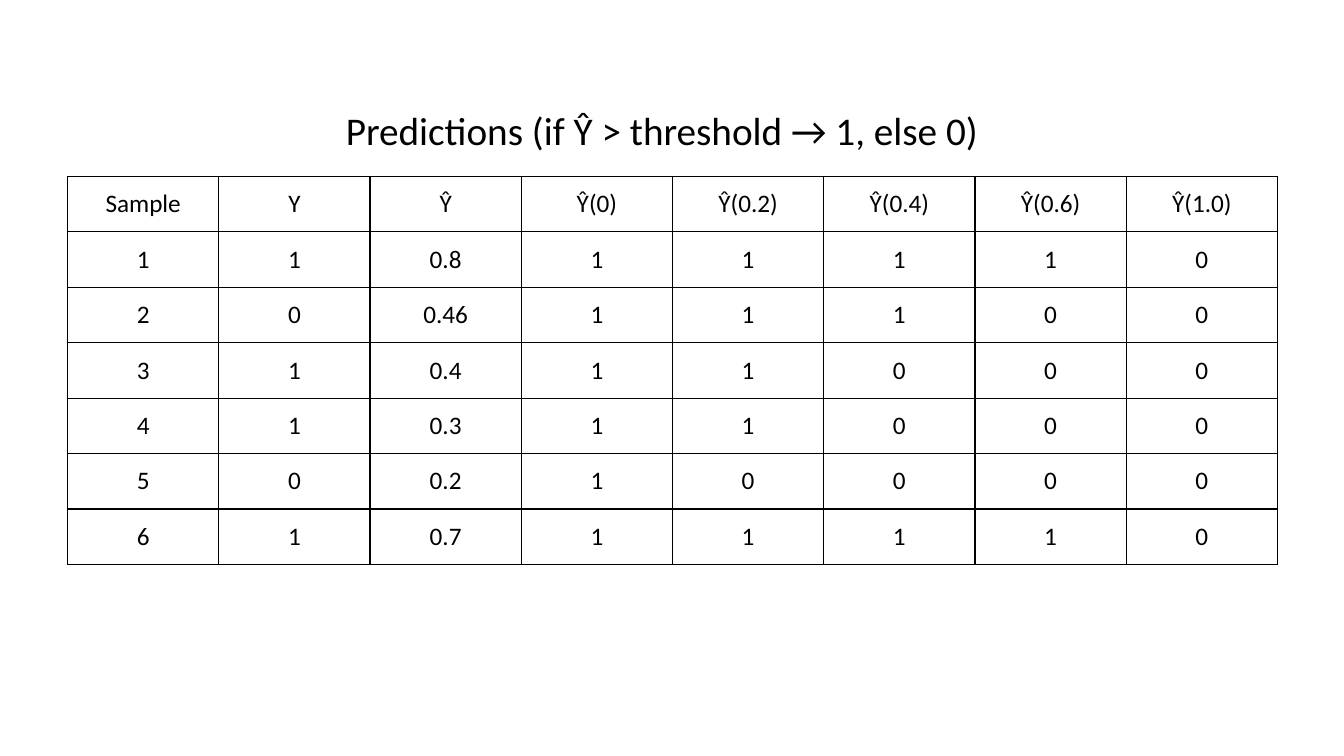
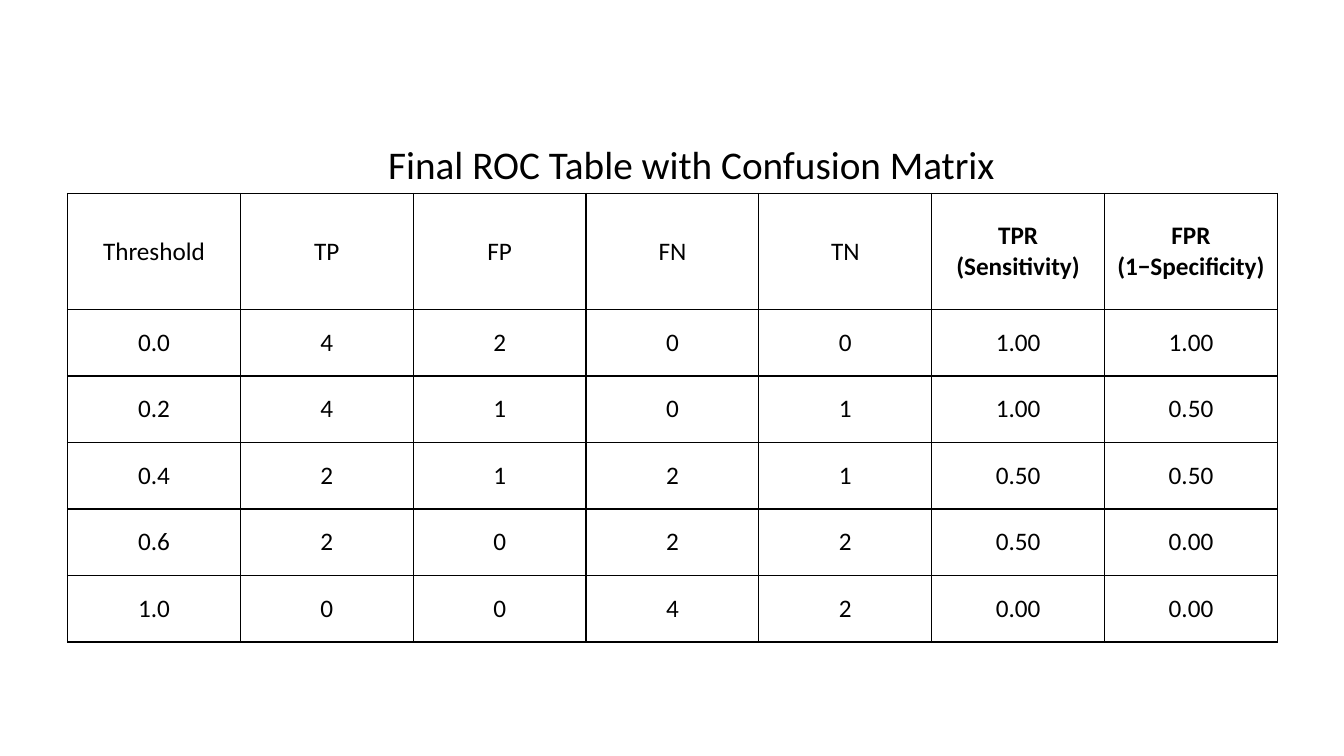
from lxml import etree
from pptx import Presentation
from pptx.dml.color import RGBColor
from pptx.enum.text import MSO_ANCHOR, MSO_AUTO_SIZE, PP_ALIGN
from pptx.oxml.ns import qn
from pptx.util import Inches, Pt

BLACK = RGBColor(0x00, 0x00, 0x00)
WHITE = RGBColor(0xFF, 0xFF, 0xFF)
FONT = "Calibri"
LEFT, CENTER = PP_ALIGN.LEFT, PP_ALIGN.CENTER
TOP, MIDDLE = MSO_ANCHOR.TOP, MSO_ANCHOR.MIDDLE
NO_AUTOFIT = MSO_AUTO_SIZE.NONE

TITLE_ONLY = 5
TABLE_LEFT, TABLE_WIDTH = 0.67, 12
BORDER_SIDES = ("a:lnL", "a:lnR", "a:lnT", "a:lnB")

PREDICTIONS = [
    ["Sample", "Y", "Ŷ", "Ŷ(0)", "Ŷ(0.2)", "Ŷ(0.4)", "Ŷ(0.6)", "Ŷ(1.0)"],
    ["1", "1", "0.8", "1", "1", "1", "1", "0"],
    ["2", "0", "0.46", "1", "1", "1", "0", "0"],
    ["3", "1", "0.4", "1", "1", "0", "0", "0"],
    ["4", "1", "0.3", "1", "1", "0", "0", "0"],
    ["5", "0", "0.2", "1", "0", "0", "0", "0"],
    ["6", "1", "0.7", "1", "1", "1", "1", "0"],
]
ROC = [
    ["Threshold", "TP", "FP", "FN", "TN", "TPR (Sensitivity)", "FPR (1−Specificity)"],
    ["0.0", "4", "2", "0", "0", "1.00", "1.00"],
    ["0.2", "4", "1", "0", "1", "1.00", "0.50"],
    ["0.4", "2", "1", "2", "1", "0.50", "0.50"],
    ["0.6", "2", "0", "2", "2", "0.50", "0.00"],
    ["1.0", "0", "0", "4", "2", "0.00", "0.00"],
]
BOLD_HEADERS = ROC[0][-2:]


def write_text(frame, text, size=18, bold=False, align=CENTER, anchor=MIDDLE):
    frame.word_wrap = True
    frame.vertical_anchor = anchor
    para = frame.paragraphs[0]
    para.alignment = align
    span = para.add_run()
    span.text = text
    span.font.name = FONT
    span.font.size = Pt(size)
    span.font.bold = bold
    span.font.color.rgb = BLACK


def add_title_slide(deck, text, left, top):
    slide = deck.slides.add_slide(deck.slide_layouts[TITLE_ONLY])
    title = slide.shapes.title
    title.left, title.top = Inches(left), Inches(top)
    title.width, title.height = Inches(6.67), Inches(0.57)
    title.text_frame.auto_size = NO_AUTOFIT
    write_text(title.text_frame, text, size=28, align=LEFT, anchor=TOP)
    return slide


def draw_borders(cell):
    properties = cell._tc.get_or_add_tcPr()
    for side in BORDER_SIDES:
        line = etree.SubElement(properties, qn(side), w=str(Pt(1)))
        fill = etree.SubElement(line, qn("a:solidFill"))
        etree.SubElement(fill, qn("a:srgbClr"), val=str(BLACK))


def add_grid(slide, rows, top, header_height, row_height):
    height = header_height + row_height * (len(rows) - 1)
    table = slide.shapes.add_table(
        len(rows), len(rows[0]), Inches(TABLE_LEFT), Inches(top),
        Inches(TABLE_WIDTH), Inches(height)).table
    table.first_row = table.horz_banding = False
    for column in table.columns:
        column.width = Inches(TABLE_WIDTH / len(rows[0]))
    for index, values in enumerate(rows):
        table.rows[index].height = Inches(row_height if index else header_height)
        for position, value in enumerate(values):
            cell = table.cell(index, position)
            draw_borders(cell)
            cell.fill.solid()
            cell.fill.fore_color.rgb = WHITE
            cell.vertical_anchor = MIDDLE
            write_text(cell.text_frame, value, bold=value in BOLD_HEADERS)


def main():
    deck = Presentation()
    deck.slide_width, deck.slide_height = Inches(13.33), Inches(7.5)

    slide = add_title_slide(deck, "Predictions (if Ŷ > threshold → 1, else 0)", 3.33, 1)
    add_grid(slide, PREDICTIONS, top=1.75, header_height=0.55, row_height=0.55)

    slide = add_title_slide(deck, "Final ROC Table with Confusion Matrix", 3.75, 1.34)
    add_grid(slide, ROC, top=1.92, header_height=1.15, row_height=0.66)

    deck.save("out.pptx")


if __name__ == "__main__":
    main()
